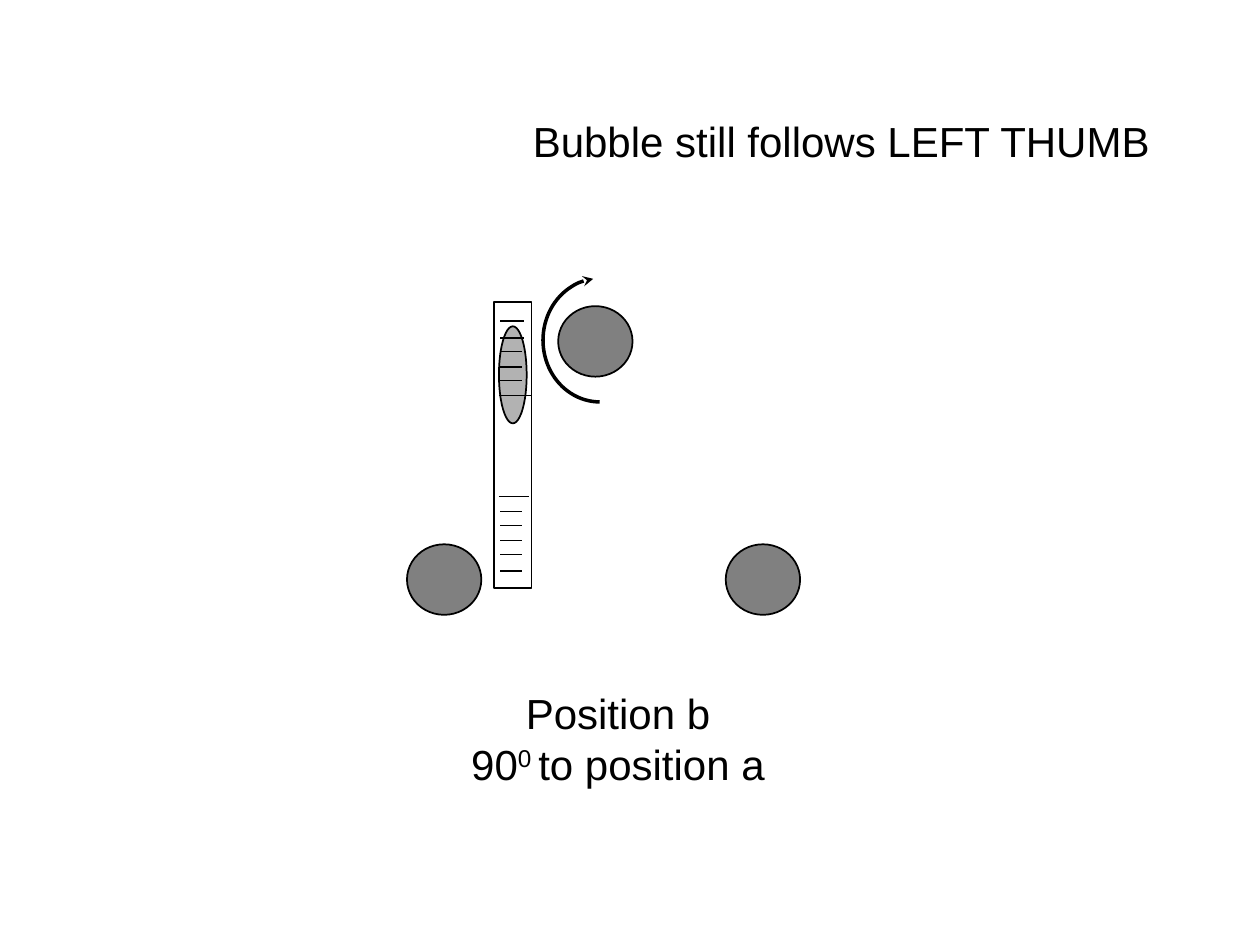
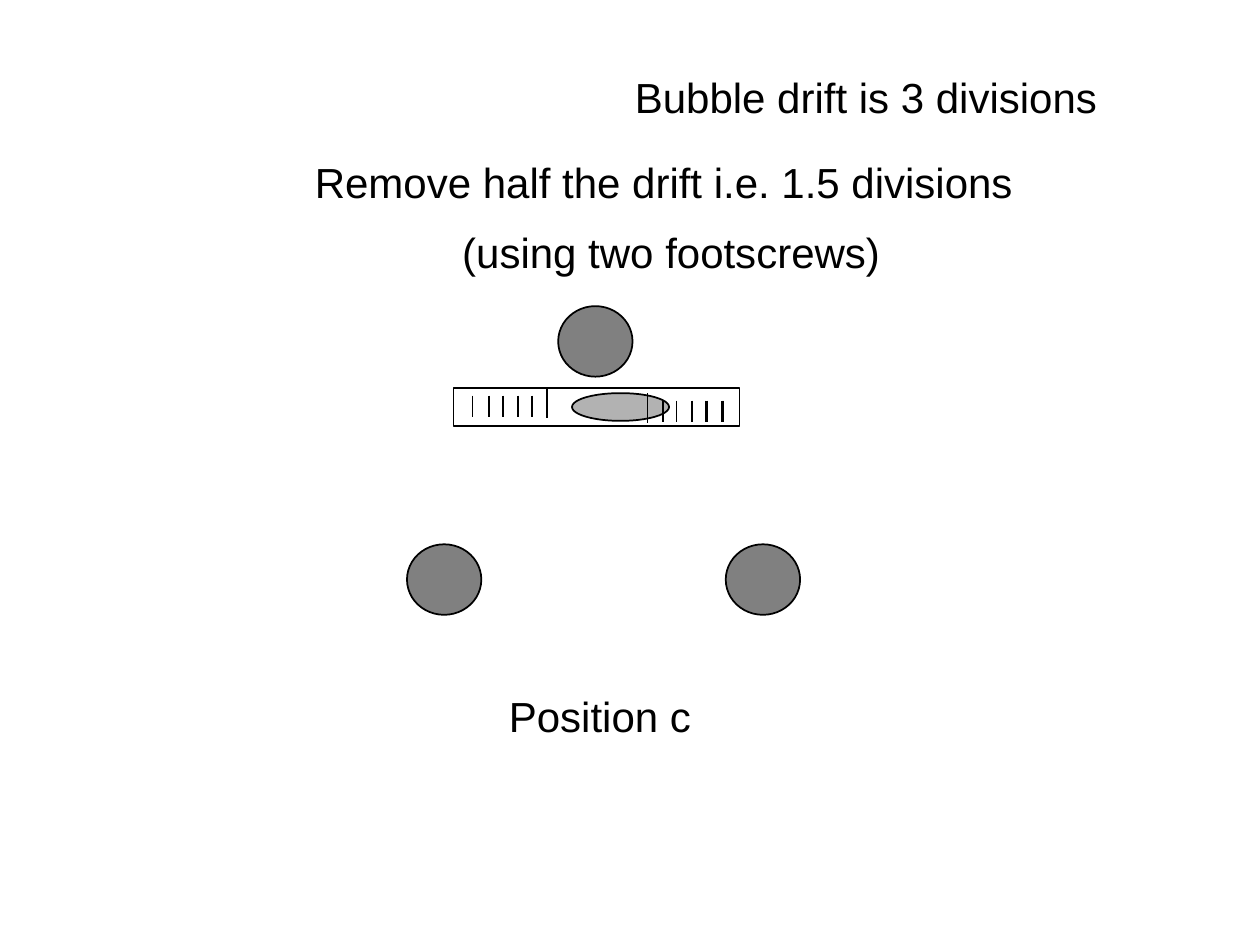
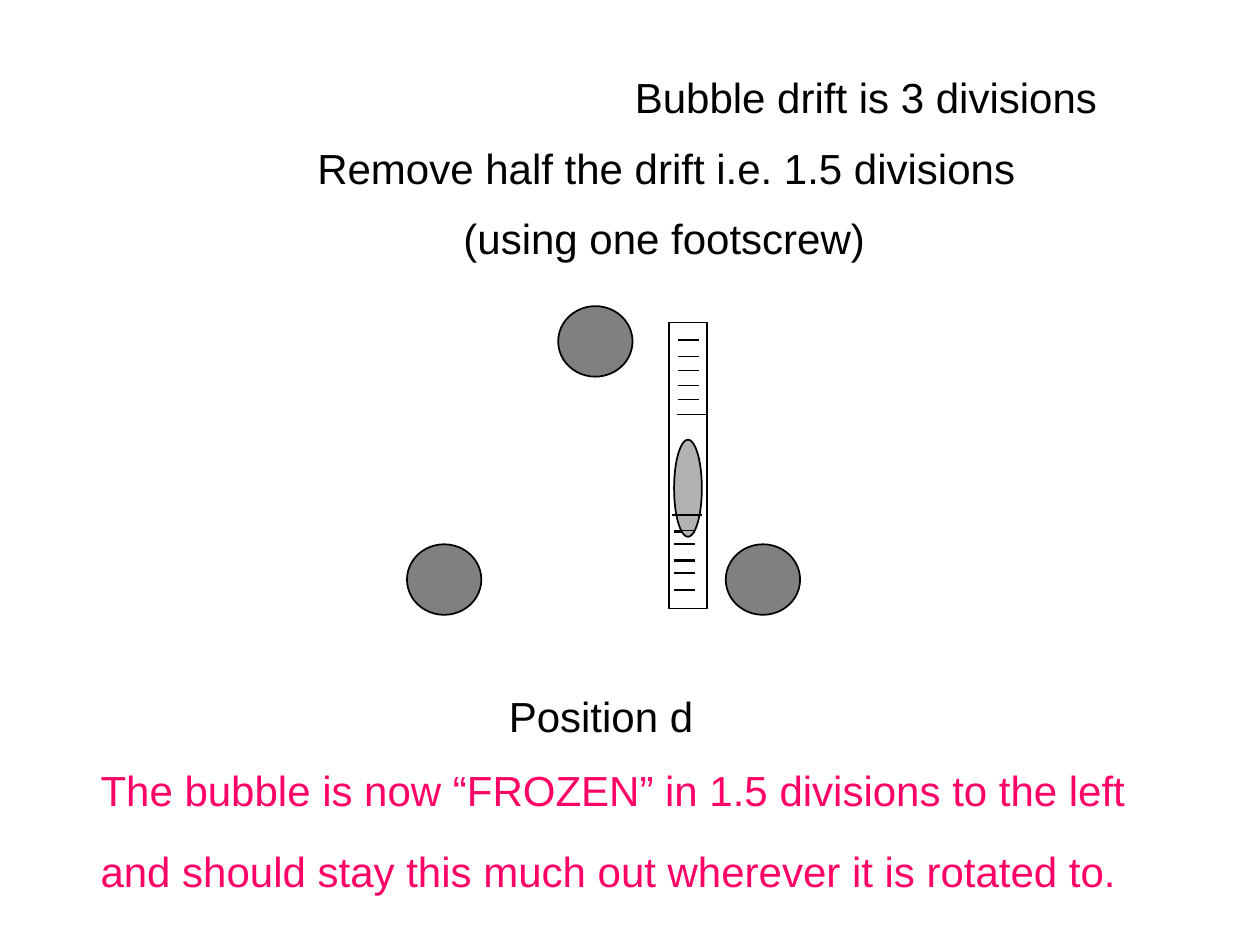
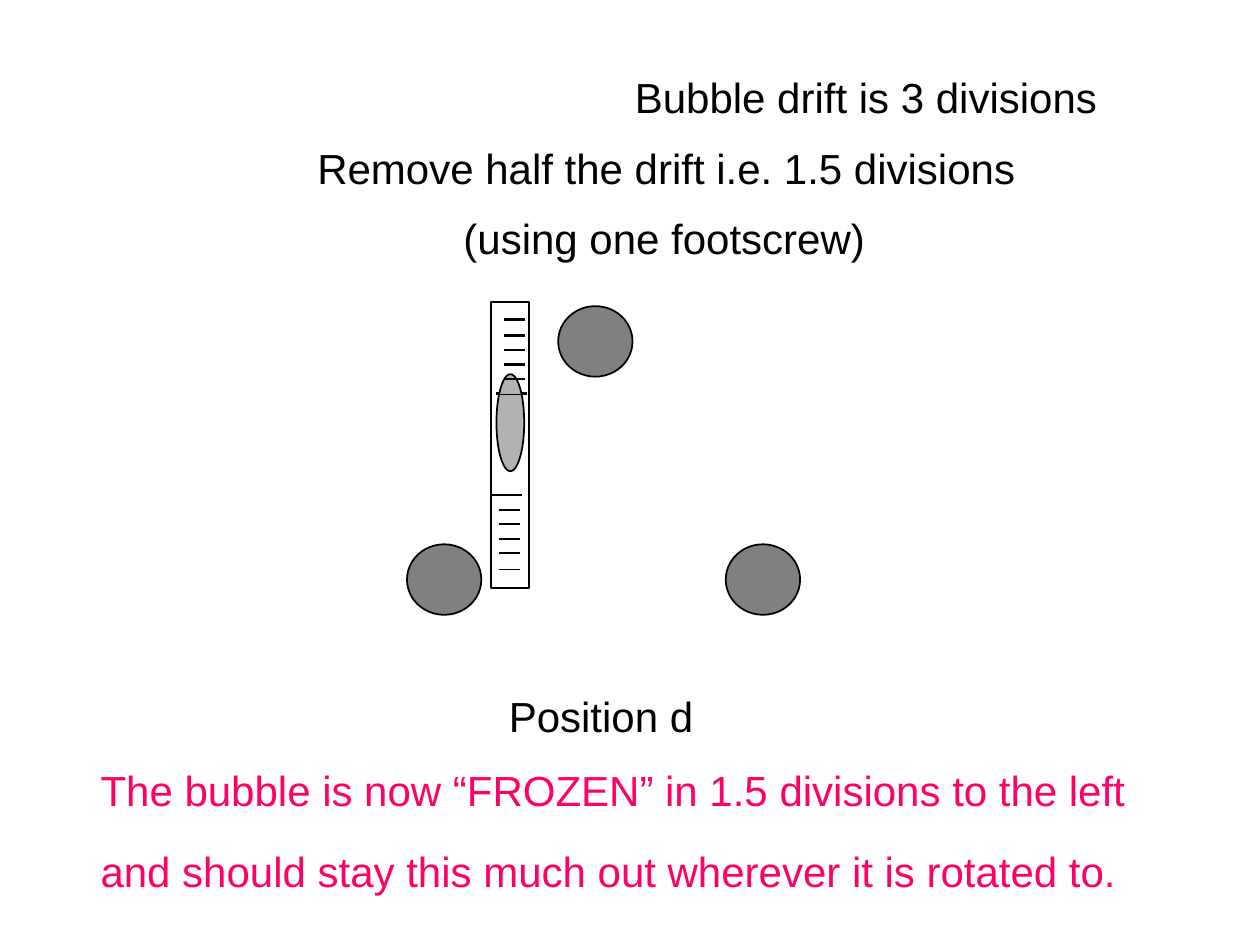
from dataclasses import dataclass

import lxml.etree
import pptx
import pptx.dml.color
import pptx.enum.shapes
import pptx.enum.text
import pptx.oxml.ns
import pptx.util

SHAPES = pptx.enum.shapes.MSO_SHAPE
ALIGN = pptx.enum.text.PP_ALIGN


@dataclass(frozen=True)
class Theme:
    font: str = "Arial"
    text_size: int = 24
    ink: str = "000000"
    accent: str = "FF0066"
    screw: str = "808080"
    bubble: str = "B2B2B2"
    paper: str = "FFFFFF"
    thin: float = 1
    thick: float = 2


@dataclass(frozen=True)
class Scale:
    start: float
    direction: int
    long_edge: float
    short_edge: float
    divisions: tuple = (0, 1, 2, 3, 4, 5)


THEME = Theme()
COLUMNS, ROWS = 10, 7.5
CELL = pptx.util.Inches(1)
LINE_HEIGHT = 0.5
SCREWS = ((3.23, 4.32), (5.76, 4.32), (4.43, 2.43))
SCREW_SIZE = (0.59, 0.56)
VIAL_LENGTH, VIAL_WIDTH = 2.27, 0.3
BUBBLE_LENGTH, BUBBLE_WIDTH, BUBBLE_INSET = 0.77, 0.22, 0.04
DIVISION_OFFSETS = (0, 0.12, 0.23, 0.35, 0.46, 0.59)
LONG_TICK, SHORT_TICK = 0.24, 0.17


def cells(*lengths):
    return [round(CELL * length) for length in lengths]


def color(value):
    return pptx.dml.color.RGBColor.from_string(value)


def add_outline(item, width):
    item.line.color.rgb = color(THEME.ink)
    item.line.width = pptx.util.Pt(width)


def add_figure(page, kind, left, top, width, height, fill):
    figure = page.shapes.add_shape(kind, *cells(left, top, width, height))
    figure.shadow.inherit = False
    figure.fill.solid()
    figure.fill.fore_color.rgb = color(fill)
    add_outline(figure, THEME.thin)


def add_text(page, left, top, width, *lines, tint=THEME.ink, align=ALIGN.LEFT, height=LINE_HEIGHT):
    box = page.shapes.add_textbox(*cells(left, top, width, height))
    frame = box.text_frame
    frame.word_wrap = False
    frame.auto_size = pptx.enum.text.MSO_AUTO_SIZE.SHAPE_TO_FIT_TEXT
    for index, spans in enumerate(lines):
        para = frame.add_paragraph() if index else frame.paragraphs[0]
        para.alignment = align
        for words, baseline in spans:
            span = para.add_run()
            span.text = words
            span.font.name = THEME.font
            span.font.size = pptx.util.Pt(THEME.text_size)
            span.font.color.rgb = color(tint)
            if baseline:
                span.font._element.set("baseline", str(baseline * 1000))


def plain(words):
    return [(words, 0)]


def add_tick(page, along, edge, length, upright):
    ends = (edge, along, edge + length, along) if upright else (along, edge, along, edge + length)
    tick = page.shapes.add_connector(pptx.enum.shapes.MSO_CONNECTOR.STRAIGHT, *cells(*ends))
    add_outline(tick, THEME.thin)
    lxml.etree.SubElement(tick._element.spPr, pptx.oxml.ns.qn("a:effectLst"))


def add_scale(page, scale, upright):
    for division in scale.divisions:
        along = scale.start + scale.direction * DIVISION_OFFSETS[division]
        if division:
            add_tick(page, along, scale.short_edge, SHORT_TICK, upright)
        else:
            add_tick(page, along, scale.long_edge, LONG_TICK, upright)


def add_vial(page, left, top, bubble_start, behind, front, upright=True):
    size = (VIAL_WIDTH, VIAL_LENGTH) if upright else (VIAL_LENGTH, VIAL_WIDTH)
    add_figure(page, SHAPES.RECTANGLE, left, top, *size, THEME.paper)
    for scale in behind:
        add_scale(page, scale, upright)
    if upright:
        bubble = (left + BUBBLE_INSET, bubble_start, BUBBLE_WIDTH, BUBBLE_LENGTH)
    else:
        bubble = (bubble_start, top + BUBBLE_INSET, BUBBLE_LENGTH, BUBBLE_WIDTH)
    add_figure(page, SHAPES.OVAL, *bubble, THEME.bubble)
    add_scale(page, front, upright)


def add_turn_arrow(page, left, top, width, height, start, end):
    arc = page.shapes.add_shape(SHAPES.ARC, *cells(left, top, width, height))
    arc.shadow.inherit = False
    arc.fill.background()
    add_outline(arc, THEME.thick)
    for index, angle in enumerate((start, end)):
        arc.adjustments[index] = angle * 0.6
    line = arc.line._get_or_add_ln()
    lxml.etree.SubElement(line, pptx.oxml.ns.qn("a:tailEnd"), type="stealth")


def add_page(deck):
    page = deck.slides.add_slide(deck.slide_layouts[6])
    for left, top in SCREWS:
        add_figure(page, SHAPES.OVAL, left, top, *SCREW_SIZE, THEME.screw)
    return page


def add_drift_heading(page):
    add_text(page, 4.94, 0.52, 3.87, plain("Bubble drift is 3 divisions"))


def add_removal(page, left, top):
    add_text(page, left, top, 5.74, plain("Remove half the drift i.e. 1.5 divisions"))


def build_position_b(deck):
    page = add_page(deck)
    add_text(page, 3.64, 5.41, 2.53, plain("Position b"),
             [("90", 0), ("0 ", 30), ("to position a", 0)], align=ALIGN.CENTER, height=0.9)
    add_vial(page, 3.92, 2.4, 2.59,
             [Scale(3.94, 1, 3.96, 3.97), Scale(3.14, -1, 3.98, 3.99)],
             Scale(3.14, -1, 3.96, 3.97))
    add_text(page, 4.13, 0.87, 5.11, plain("Bubble still follows LEFT THUMB"))
    add_turn_arrow(page, 4.31, 2.21, 0.9, 0.98, 90, 264)


def build_position_c(deck):
    page = add_page(deck)
    add_vial(page, 3.6, 3.08, 4.54,
             [Scale(4.34, -1, 3.08, 3.14), Scale(5.15, 1, 3.12, 3.18, (4, 5))],
             Scale(5.14, 1, 3.12, 3.18), upright=False)
    add_text(page, 3.94, 5.43, 1.65, plain("Position c"))
    add_drift_heading(page)
    add_removal(page, 2.4, 1.19)
    add_text(page, 3.57, 1.75, 3.52, plain("(using two footscrews)"))


def build_position_d(deck, *vial):
    page = add_page(deck)
    add_vial(page, *vial)
    add_text(page, 3.94, 5.43, 1.67, plain("Position d"))
    add_drift_heading(page)
    add_removal(page, 2.42, 1.08)
    add_text(page, 3.58, 1.64, 3.39, plain("(using one footscrew)"))
    add_text(page, 0.7, 6.02, 8.34,
             plain("The bubble is now “FROZEN” in 1.5 divisions to the left"), tint=THEME.accent)
    add_text(page, 0.7, 6.66, 8.26,
             plain("and should stay this much out wherever it is rotated to."), tint=THEME.accent)


def main():
    deck = pptx.Presentation()
    deck.slide_width, deck.slide_height = cells(COLUMNS, ROWS)
    build_position_b(deck)
    build_position_c(deck)
    build_position_d(deck, 5.31, 2.56, 3.49,
                     [Scale(3.29, -1, 5.37, 5.38), Scale(4.1, 1, 5.33, 5.35, (1, 3))],
                     Scale(4.09, 1, 5.33, 5.35))
    build_position_d(deck, 3.9, 2.4, 2.97,
                     [Scale(3.93, 1, 3.9, 3.96), Scale(3.12, -1, 3.94, 4, (0, 2, 4, 5))],
                     Scale(3.13, -1, 3.94, 4))
    deck.save("out.pptx")


if __name__ == "__main__":
    main()
